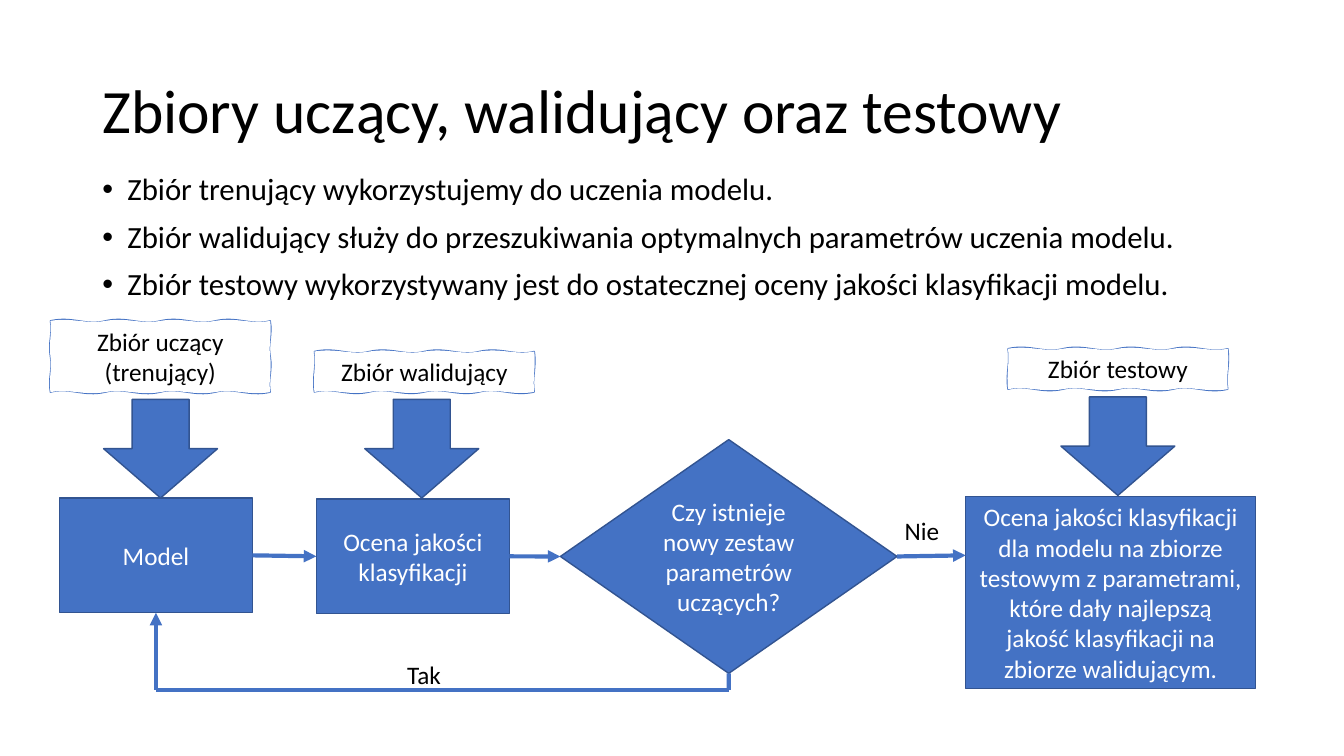
import copy
from lxml import etree
from pptx import Presentation
from pptx import util as u
from pptx.dml import color
from pptx.enum import shapes, text
from pptx.oxml import ns

BLUE = color.RGBColor(0x44, 0x72, 0xC4)
NAVY = color.RGBColor(0x32, 0x54, 0x91)
BLACK = color.RGBColor(0, 0, 0)
WHITE = color.RGBColor(255, 255, 255)
Pt = u.Pt

deck = Presentation()
deck.slide_width, deck.slide_height = Pt(960), Pt(540)
page = deck.slides.add_slide(deck.slide_layouts[6])


def write(shape, words, size=18, ink=BLACK, align=text.PP_ALIGN.CENTER,
          anchor=text.MSO_ANCHOR.MIDDLE, wrap=True, spacing=1.0, before=0, bullet=None):
    frame = shape.text_frame
    frame.word_wrap = wrap
    frame.vertical_anchor = anchor
    for number, line in enumerate(words.split("\n")):
        para = frame.add_paragraph() if number else frame.paragraphs[0]
        para.alignment = align
        para.line_spacing = spacing
        para.space_before = Pt(before)
        span = para.add_run()
        span.text = line
        span.font.name = "Calibri"
        span.font.size = Pt(size)
        span.font.color.rgb = ink
        if bullet:
            props = para._p.get_or_add_pPr()
            props.set("marL", str(Pt(18)))
            props.set("indent", str(Pt(-18)))
            etree.SubElement(props, ns.qn("a:buFont")).set("typeface", "Arial")
            etree.SubElement(props, ns.qn("a:buChar")).set("char", bullet)


def link(start, end, source=None, target=None, arrow=True):
    line = page.shapes.add_connector(shapes.MSO_CONNECTOR.STRAIGHT, *map(Pt, start + end))
    if source:
        line.begin_connect(*source)
    if target:
        line.end_connect(*target)
    line.line.color.rgb = BLUE
    line.line.width = Pt(3)
    if arrow:
        etree.SubElement(line.line._get_or_add_ln(), ns.qn("a:tailEnd")).set("type", "triangle")
    etree.SubElement(line._element.spPr, ns.qn("a:effectLst"))


title = page.shapes.add_textbox(Pt(66), Pt(28.8), Pt(828), Pt(104.4))
write(title, "Zbiory uczący, walidujący oraz testowy", size=44,
      align=text.PP_ALIGN.LEFT, spacing=0.9)

points = page.shapes.add_textbox(Pt(66), Pt(121), Pt(828), Pt(374.4))
write(points, "Zbiór trenujący wykorzystujemy do uczenia modelu.\n"
      "Zbiór walidujący służy do przeszukiwania optymalnych parametrów uczenia modelu.\n"
      "Zbiór testowy wykorzystywany jest do ostatecznej oceny jakości klasyfikacji modelu.",
      size=22, align=text.PP_ALIGN.LEFT, anchor=text.MSO_ANCHOR.TOP,
      spacing=0.9, before=10, bullet="•")

RECT = shapes.MSO_SHAPE.RECTANGLE
DOWN = shapes.MSO_SHAPE.DOWN_ARROW
blocks = [
    (RECT, 42.5, 355.7, 137.8, 82, "Model"),
    (RECT, 226, 356.4, 137.8, 82, "Ocena jakości klasyfikacji"),
    (shapes.MSO_SHAPE.FLOWCHART_DECISION, 400.3, 314, 240.5, 167,
     "Czy istnieje nowy zestaw parametrów uczących?"),
    (RECT, 689.8, 354.6, 207, 137,
     "Ocena jakości klasyfikacji dla modelu na zbiorze testowym z parametrami, "
     "które dały najlepszą jakość klasyfikacji na zbiorze walidującym."),
    (DOWN, 74, 285.3, 81.4, 70.4, ""),
    (DOWN, 260.6, 285.3, 81.4, 70.4, ""),
    (DOWN, 757.8, 283.5, 81.4, 70.4, ""),
]
drawn = []
for kind, left, top, width, height, words in blocks:
    block = page.shapes.add_shape(kind, Pt(left), Pt(top), Pt(width), Pt(height))
    block.shadow.inherit = False
    block.fill.solid()
    block.fill.fore_color.rgb = BLUE
    block.line.color.rgb = NAVY
    block.line.width = Pt(1)
    if words:
        write(block, words, ink=WHITE)
    drawn.append(block)
model, validation, decision = drawn[:3]

LABEL_WIDTH = 157
OUTWARD = [(0, -1), (1, 0), (0, 1), (-1, 0)]
for left, top, height, upright_waves, words in [
    (36, 229.2, 50.9, 2, "Zbiór uczący (trenujący)"),
    (224.6, 251.1, 28.9, 1, "Zbiór walidujący"),
    (720, 249.1, 28.9, 1, "Zbiór testowy"),
]:
    corners = [(0, 0), (LABEL_WIDTH, 0), (LABEL_WIDTH, height), (0, height), (0, 0)]
    waves = []
    for side, (out_x, out_y) in enumerate(OUTWARD):
        (x, y), (end_x, end_y) = corners[side:side + 2]
        count = upright_waves if side % 2 else 4
        step_x, step_y = (end_x - x) / count, (end_y - y) / count
        for wave in range(count):
            waves.append((x + step_x * wave, y + step_y * wave, step_x, step_y, out_x, out_y))

    builder = page.shapes.build_freeform(Pt(left), Pt(top))
    builder.add_line_segments([(Pt(left + x + step_x), Pt(top + y + step_y))
                               for x, y, step_x, step_y, out_x, out_y in waves])
    label = builder.convert_to_shape()
    stroke = next(label._element.iter(ns.qn("a:path")))
    inside = copy.deepcopy(stroke)
    stroke.addnext(inside)
    stroke.set("fill", "none")
    inside.set("stroke", "0")
    for route, sway in [(stroke, 3.6), (inside, 2.6)]:
        for segment, (x, y, step_x, step_y, out_x, out_y) in zip(
                route.findall(ns.qn("a:lnTo")), waves):
            segment.tag = ns.qn("a:cubicBezTo")
            for position, (share, push) in enumerate([(0.4, sway), (0.65, -sway)]):
                reach = push if out_y else push / 2
                control = etree.Element(ns.qn("a:pt"))
                control.set("x", str(Pt(x + step_x * share + out_x * reach)))
                control.set("y", str(Pt(y + step_y * share + out_y * reach)))
                segment.insert(position, control)
        etree.SubElement(route, ns.qn("a:close"))
    label.shadow.inherit = False
    label.fill.solid()
    label.fill.fore_color.rgb = WHITE
    label.line.color.rgb = BLUE
    label.line.width = Pt(1)
    write(label, words, anchor=text.MSO_ANCHOR.TOP)

link((180, 397), (226, 397), (model, 3), (validation, 1))
link((364, 397), (400, 397), (validation, 3), (decision, 1))
link((641, 397.5), (689.8, 396.7), source=(decision, 3))
link((520.5, 481), (520.5, 492.8), source=(decision, 2), arrow=False)
link((520.5, 492.8), (111.4, 492.8), arrow=False)
link((111.4, 492.8), (111.4, 438), target=(model, 2))

for left, top, width, words in [(283.7, 467.3, 39, "Tak"), (639, 364.7, 39.6, "Nie")]:
    answer = page.shapes.add_textbox(Pt(left), Pt(top), Pt(width), Pt(29))
    write(answer, words, align=text.PP_ALIGN.LEFT, anchor=text.MSO_ANCHOR.TOP, wrap=False)

deck.save("out.pptx")
